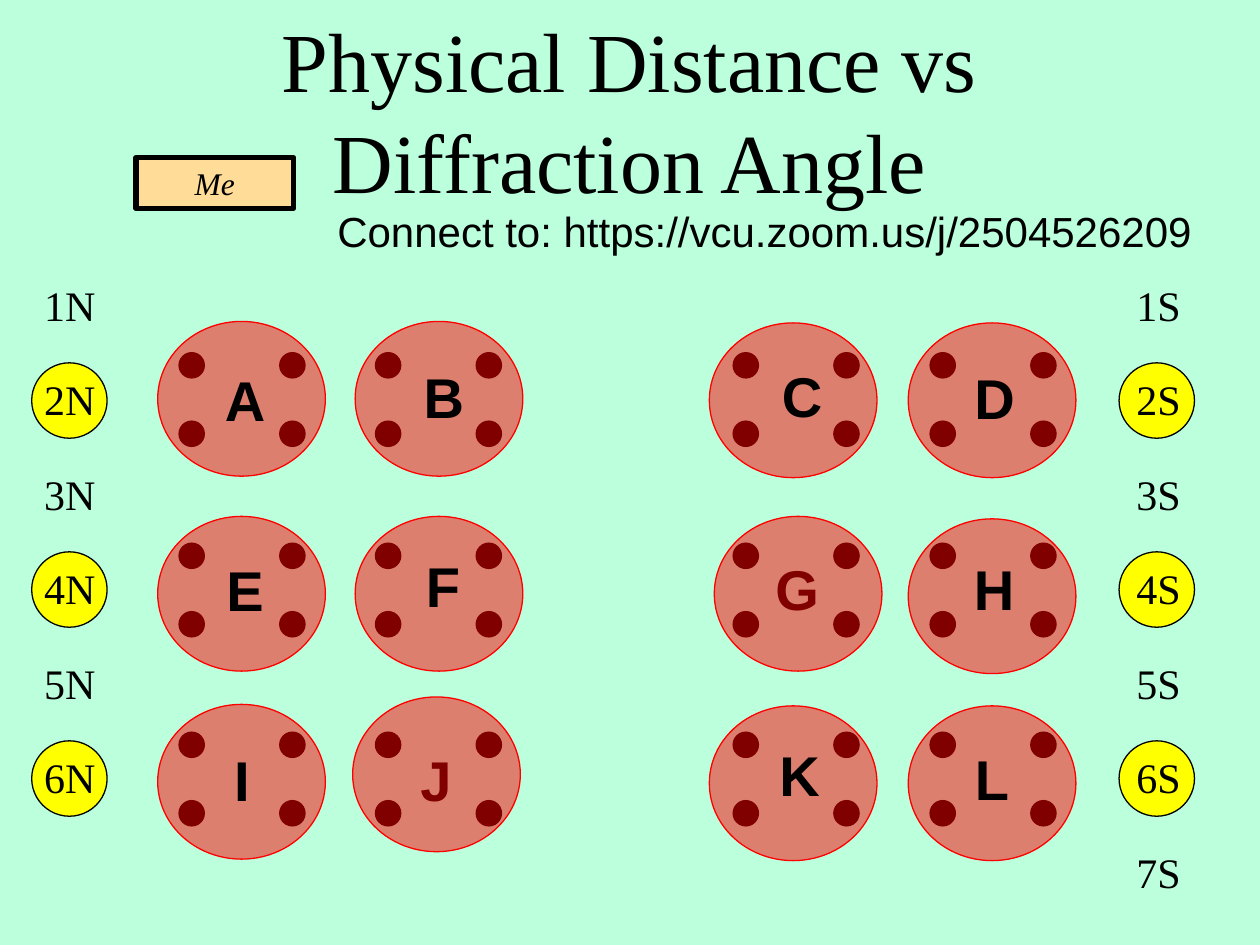
from collections import namedtuple

from lxml.etree import SubElement
from pptx import Presentation
from pptx.dml.color import RGBColor
from pptx.enum.shapes import MSO_SHAPE
from pptx.enum.text import MSO_ANCHOR, MSO_AUTO_SIZE, PP_ALIGN
from pptx.oxml.ns import qn
from pptx.util import Cm, Pt

Box = namedtuple("Box", "left top width height")

SERIF, SANS = "Times New Roman", "Arial"
BLACK, RED, YELLOW = "000000", "FF0000", "FFFF00"
TABLE_WIDTH, TABLE_HEIGHT = 3.38, 3.12
SEAT_SIZE, SEAT_GAP_X, SEAT_GAP_Y = 0.51, 2.03, 1.38
LETTER_WIDTH, LETTER_HEIGHT = 2.26, 1.63
LABEL_STEP = 1.905

# Left edge of each table column, and its first seat's offset
COLUMNS = [(3.18, 0.43), (7.16, 0.41), (14.3, 0.48), (18.31, 0.44)]
# Top edge of each table row, and its first seat's offset
ROWS = [(6.48, 0.63), (10.41, 0.54), (14.2, 0.56)]
# Letter, its shift from the table's centre line, its distance from the table's top
LETTERS = [
    [("A", 0.07, 0.76), ("B", 0.1, 0.71), ("C", 0.18, 0.68), ("D", 0.05, 0.73)],
    [("E", 0.07, 0.66), ("F", 0.08, 0.59), ("G", 0.08, 0.64), ("H", 0.04, 0.64)],
    [("I", 0.01, 0.71), ("J", -0.06, 0.71), ("K", 0.13, 0.61), ("L", 0, 0.68)],
]
# Tables that are moved from the grid; those in COVERED lie over their letter
TABLE_SHIFTS = {
    "C": (0, 0.03), "D": (0, 0.03), "G": (0.1, 0), "H": (0, 0.05),
    "J": (-0.05, -0.15), "K": (0, 0.03), "L": (0, 0.03),
}
COVERED = "GJ"


def color(hex_string):
    return RGBColor.from_string(hex_string)


def in_cm(box):
    return [Cm(length) for length in box]


def write(frame, text, font=SERIF, size=24, hex_color=BLACK, bold=False,
          italic=False, align=PP_ALIGN.LEFT, anchor=MSO_ANCHOR.TOP):
    frame.word_wrap = True
    frame.auto_size = MSO_AUTO_SIZE.NONE
    frame.vertical_anchor = anchor
    paragraph = frame.paragraphs[0]
    paragraph.alignment = align
    run = paragraph.add_run()
    run.text = text
    run.font.name, run.font.size = font, Pt(size)
    run.font.bold, run.font.italic = bold, italic
    run.font.color.rgb = color(hex_color)


def add_text(slide, box, text, **text_format):
    write(slide.shapes.add_textbox(*in_cm(box)).text_frame, text, **text_format)


def add_filled(slide, preset, box, fill, line=BLACK, line_width=0.75, alpha=None):
    shape = slide.shapes.add_shape(preset, *in_cm(box))
    shape.shadow.inherit = False
    shape.fill.solid()
    shape.fill.fore_color.rgb = color(fill)
    shape.line.color.rgb = color(line)
    shape.line.width = Pt(line_width)
    if alpha is not None:
        fill_color = shape.fill._xPr.find(qn("a:solidFill"))[0]
        SubElement(fill_color, qn("a:alpha"), val=str(alpha * 1000))
    return shape


def add_heading(slide, box):
    title = slide.shapes.title
    title.left, title.top, title.width, title.height = in_cm(box)
    write(title.text_frame, "Physical Distance vs Diffraction Angle", size=48,
          align=PP_ALIGN.CENTER, anchor=MSO_ANCHOR.BOTTOM)


def add_me_desk(slide, box):
    desk = add_filled(slide, MSO_SHAPE.RECTANGLE, box, "FFDD99", line_width=3)
    write(desk.text_frame, "Me", size=18, italic=True,
          align=PP_ALIGN.CENTER, anchor=MSO_ANCHOR.MIDDLE)


def add_side_labels(slide, box, side, count, disc_shift):
    """Numbers one wall from the top, with a yellow disc behind even numbers."""
    for number in range(1, count + 1):
        top = box.top + (number - 1) * LABEL_STEP
        if number % 2 == 0:
            disc = Box(box.left + disc_shift, top - 0.1, 1.52, 1.52)
            add_filled(slide, MSO_SHAPE.OVAL, disc, YELLOW)
        add_text(slide, Box(box.left, top, box.width, box.height), f"{number}{side}")


def add_seating_table(slide, box, seat_offset, letter, letter_shift, letter_top):
    for row in range(2):
        for column in range(2):
            seat = Box(box.left + seat_offset[0] + column * SEAT_GAP_X,
                       box.top + seat_offset[1] + row * SEAT_GAP_Y,
                       SEAT_SIZE, SEAT_SIZE)
            add_filled(slide, MSO_SHAPE.OVAL, seat, BLACK)

    def add_disc():
        shift_x, shift_y = TABLE_SHIFTS.get(letter, (0, 0))
        disc = Box(box.left + shift_x, box.top + shift_y, box.width, box.height)
        add_filled(slide, MSO_SHAPE.OVAL, disc, RED, line=RED, alpha=50)

    def add_letter():
        left = box.left + (box.width - LETTER_WIDTH) / 2 + letter_shift
        letter_box = Box(left, box.top + letter_top, LETTER_WIDTH, LETTER_HEIGHT)
        add_text(slide, letter_box, letter, font=SANS, size=32, bold=True,
                 align=PP_ALIGN.CENTER)

    layers = [add_disc, add_letter]
    for add_layer in reversed(layers) if letter in COVERED else layers:
        add_layer()


def add_room(slide):
    for (top, seat_y), row_letters in zip(ROWS, LETTERS):
        for (left, seat_x), letter in zip(COLUMNS, row_letters):
            table_box = Box(left, top, TABLE_WIDTH, TABLE_HEIGHT)
            add_seating_table(slide, table_box, (seat_x, seat_y), *letter)


def main():
    deck = Presentation()
    deck.slide_width, deck.slide_height = Cm(25.4), Cm(19.05)
    slide = deck.slides.add_slide(deck.slide_layouts[5])
    slide.background.fill.solid()
    slide.background.fill.fore_color.rgb = color("BBFFDD")

    add_me_desk(slide, Box(2.74, 3.18, 3.18, 1.02))
    add_side_labels(slide, Box(0.64, 5.51, 1.7, 1.27), "N", 6, disc_shift=0)
    add_side_labels(slide, Box(22.66, 5.51, 1.7, 1.27), "S", 7, disc_shift=-0.1)
    add_room(slide)
    add_text(slide, Box(6.55, 4.01, 18.21, 1.27),
             "Connect to: https://vcu.zoom.us/j/2504526209", font=SANS)
    add_heading(slide, Box(2.21, 0, 20.96, 4.37))
    deck.save("out.pptx")


if __name__ == "__main__":
    main()
